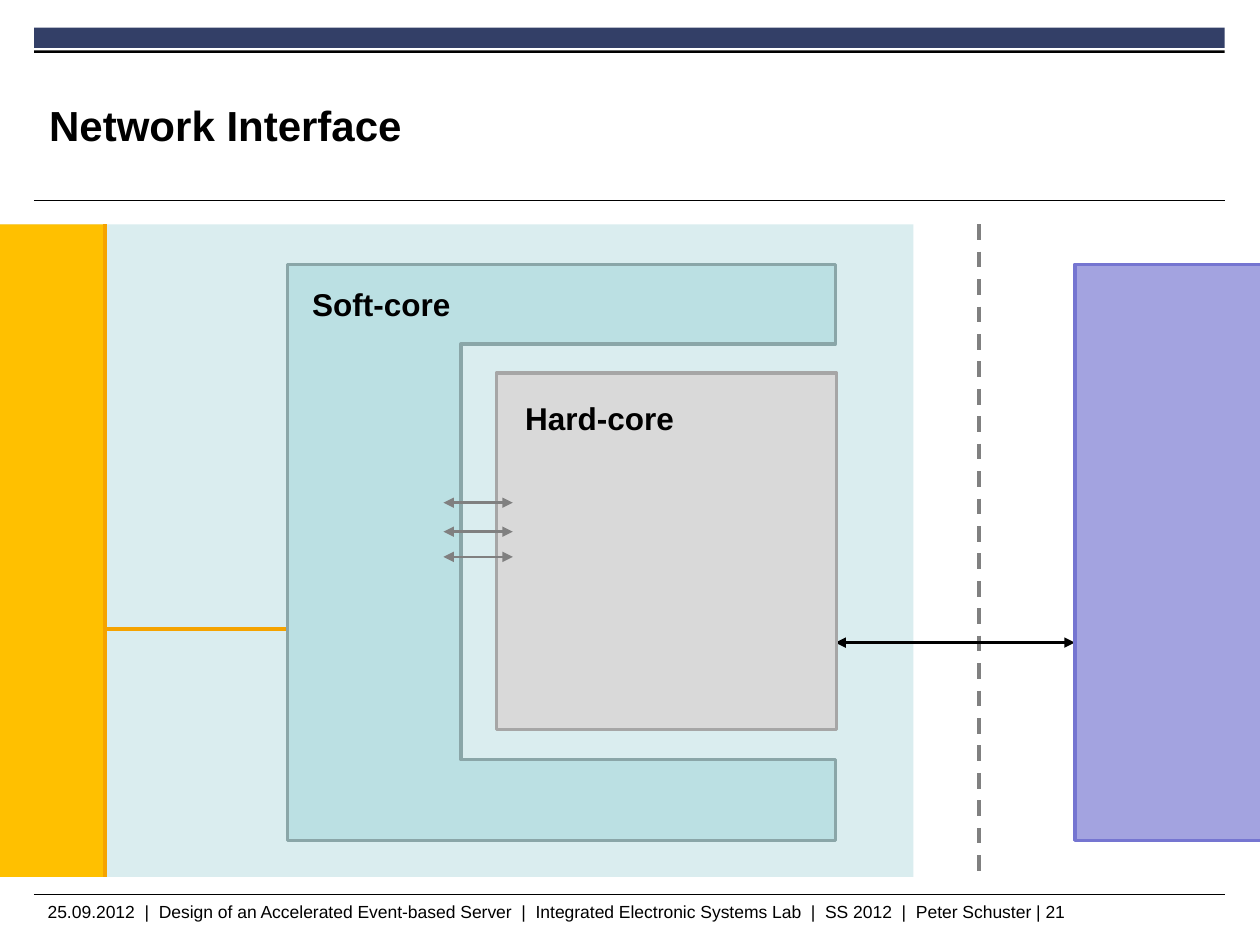
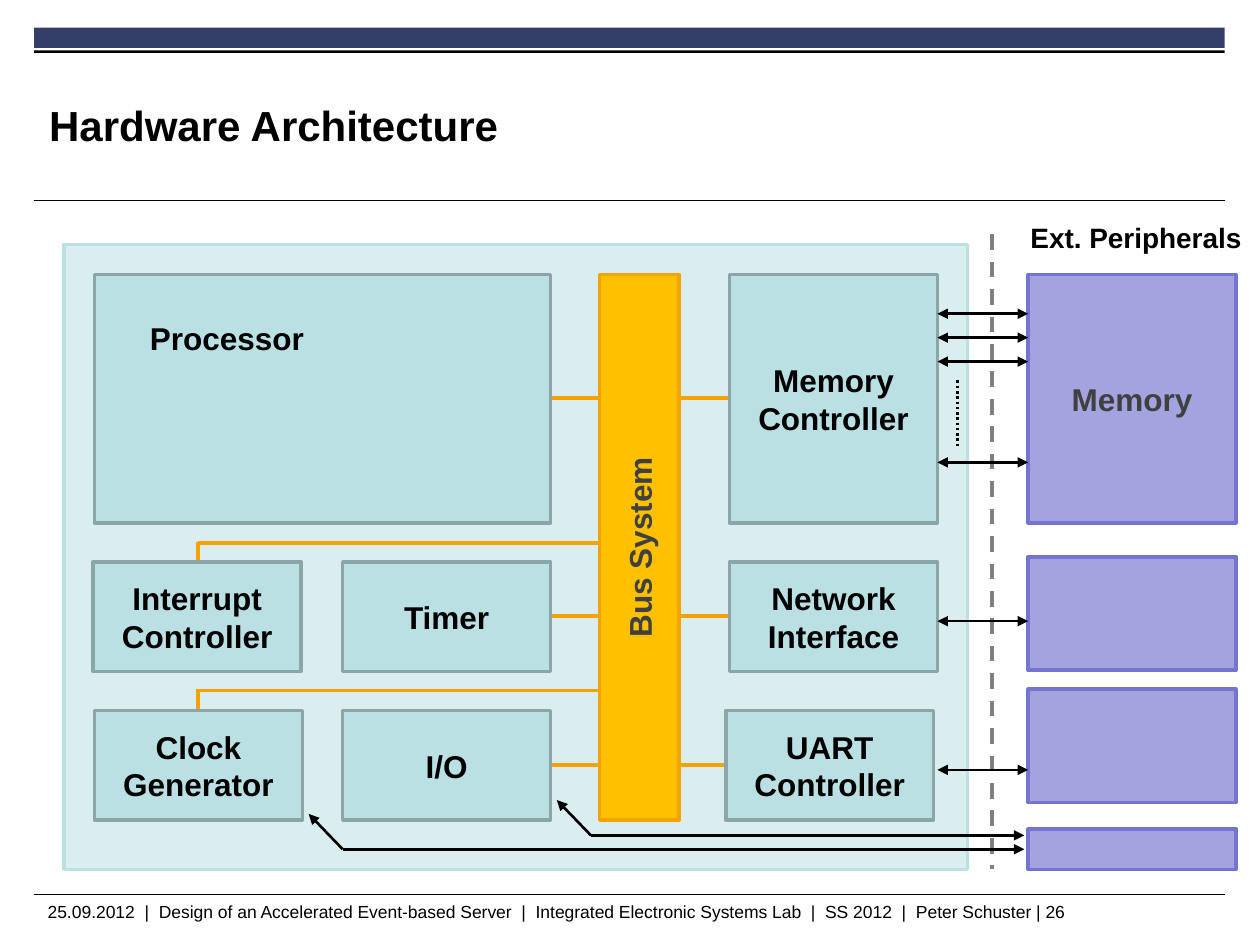
from lxml import etree
from pptx import Presentation
from pptx.dml.color import RGBColor
from pptx.enum import dml, shapes, text
from pptx.oxml import ns
from pptx.util import Inches, Pt

FONT = "Arial"
BLACK, GREY, DARK = "000000", "808080", "404040"
NAVY, CHIP, ORANGE, AMBER = "333F67", "DAEDEF", "F5A300", "FFC000"
TEAL, TEAL_EDGE = "BBE0E3", "8AA6A8"
VIOLET, VIOLET_EDGE = "A3A3E0", "7575D1"
SILVER, SILVER_EDGE = "D9D9D9", "A6A6A6"
FOOTER = ("25.09.2012  |  Design of an Accelerated Event-based Server  |  "
          "Integrated Electronic Systems Lab  |  SS 2012  |  Peter Schuster | ")
CENTER, LEFT = text.PP_ALIGN.CENTER, text.PP_ALIGN.LEFT
MIDDLE, TOP = text.MSO_ANCHOR.MIDDLE, text.MSO_ANCHOR.TOP


def color(value):
    """Turn a hex string into a colour."""
    return RGBColor.from_string(value)


def write(frame, words, size, ink=BLACK, bold=True, align=LEFT, anchor=TOP):
    """Fill a text frame with uniformly formatted words."""
    frame.text = words
    frame.word_wrap = True
    frame.vertical_anchor = anchor
    for para in frame.paragraphs:
        para.alignment = align
        for span in para.runs:
            span.font.name = FONT
            span.font.size = Pt(size)
            span.font.bold = bold
            span.font.color.rgb = color(ink)


def paint(shape, fill, edge=None):
    """Give a shape a flat fill and an optional two-point outline."""
    shape.shadow.inherit = False
    shape.fill.solid()
    shape.fill.fore_color.rgb = color(fill)
    if edge:
        shape.line.color.rgb = color(edge)
        shape.line.width = Pt(2)
    else:
        shape.line.fill.background()


def add_box(page, place, fill, edge=None, words="", ink=BLACK):
    """Add a rectangle with an optional centred label."""
    box = page.shapes.add_shape(shapes.MSO_SHAPE.RECTANGLE, *map(Inches, place))
    paint(box, fill, edge)
    if words:
        write(box.text_frame, words, 18, ink, align=CENTER, anchor=MIDDLE)
    return box


def add_label(page, place, words, size, bold=True):
    """Add a left-aligned text box."""
    label = page.shapes.add_textbox(*map(Inches, place))
    write(label.text_frame, words, size, bold=bold)


def add_line(page, start, end, ink=BLACK, width=1.5, dash=None, heads=()):
    """Add a straight line with optional dash and arrowheads."""
    line = page.shapes.add_connector(
        shapes.MSO_CONNECTOR.STRAIGHT, *map(Inches, start + end))
    line.line.color.rgb = color(ink)
    line.line.width = Pt(width)
    if dash:
        line.line.dash_style = dash
    for head in heads:
        etree.SubElement(line.line._get_or_add_ln(), ns.qn("a:" + head), type="triangle")
    etree.SubElement(line._element.spPr, ns.qn("a:effectLst"))


def add_arrow(page, left, right, y, ink=BLACK):
    """Add a horizontal double-headed arrow."""
    add_line(page, (left, y), (right, y), ink, heads=("headEnd", "tailEnd"))


def add_bus_line(page, start, end):
    """Add an orange bus wire."""
    add_line(page, start, end, ORANGE, 2.25)


def add_boundary(page, x, top, bottom):
    """Add the dashed chip boundary."""
    add_line(page, (x, top), (x, bottom), GREY, 2.25, dml.MSO_LINE.DASH)


def add_page(deck, title, number):
    """Add a page with title, bands, rules and footer."""
    page = deck.slides.add_slide(deck.slide_layouts[5])
    add_box(page, (0.27, 0.22, 9.45, 0.16), NAVY)
    add_box(page, (0.27, 0.4, 9.45, 0.02), BLACK)
    for y in (1.59, 7.1):
        add_line(page, (0.27, y), (9.72, y), width=0.6)
    add_label(page, (0.28, 7.1, 8.74, 0.25), FOOTER + str(number), 10, bold=False)
    holder = page.shapes.title
    holder.left, holder.top = Inches(0.39), Inches(0.53)
    holder.width, holder.height = Inches(7.52), Inches(0.92)
    frame = holder.text_frame
    frame.margin_left = frame.margin_right = frame.margin_top = frame.margin_bottom = 0
    write(frame, title, 24, anchor=MIDDLE)
    return page


def add_soft_core(page):
    """Add the C-shaped soft-core outline."""
    left, inner, right = 2.28, 3.66, 6.63
    top, upper, lower, bottom = 2.1, 2.73, 6.03, 6.67
    corners = [(right, top), (right, upper), (inner, upper), (inner, lower),
               (right, lower), (right, bottom), (left, bottom)]
    builder = page.shapes.build_freeform(Inches(left), Inches(top))
    builder.add_line_segments([(Inches(x), Inches(y)) for x, y in corners])
    paint(builder.convert_to_shape(), TEAL, TEAL_EDGE)
    add_label(page, (2.38, 2.21, 1.36, 0.4), "Soft-core", 18)


def build_network_interface(deck):
    """Build the network interface page."""
    page = add_page(deck, "Network Interface", 21)
    top, bottom, bus_edge = 1.78, 6.96, 0.83
    add_box(page, (0, top, 7.25, bottom - top), CHIP)
    add_boundary(page, 7.77, top, bottom)
    add_arrow(page, 6.63, 8.53, 5.1)
    add_box(page, (8.53, 2.1, 1.59, 4.57), VIOLET, VIOLET_EDGE)
    add_bus_line(page, (bus_edge, 4.99), (2.28, 4.99))
    add_box(page, (0, top, bus_edge, bottom - top), AMBER)
    add_bus_line(page, (bus_edge, top), (bus_edge, bottom))
    add_soft_core(page)
    add_box(page, (3.94, 2.96, 2.7, 2.83), SILVER, SILVER_EDGE)
    add_label(page, (4.07, 3.12, 2.56, 0.4), "Hard-core", 18)
    for y in (3.99, 4.22, 4.42):
        add_arrow(page, 3.52, 4.07, y, GREY)


def add_processor(page):
    """Add the processor block with its label at the upper left."""
    box = add_box(page, (0.75, 2.18, 3.62, 1.97), TEAL, TEAL_EDGE)
    write(box.text_frame, "Processor", 18)
    box.text_frame.margin_left = Inches(0.44)
    box.text_frame.margin_top = Inches(0.35)


def build_hardware_architecture(deck):
    """Build the hardware architecture page."""
    page = add_page(deck, "Hardware Architecture", 26)
    width, tall, low = 1.65, 1.97, 0.87
    row_tops = top, middle, bottom = 2.18, 4.46, 5.64
    add_box(page, (0.51, 1.94, 7.17, 4.96), CHIP, TEAL)

    for y, block_top in ((4.31, middle), (5.48, bottom)):
        add_bus_line(page, (1.57, y - 0.01), (1.57, block_top))
        add_bus_line(page, (1.57, y), (5.39, y))
    for y in (3.16, 4.89, 6.07):
        add_bus_line(page, (4.37, y), (5.79, y))

    blocks = [(5.79, top, tall, "Memory Controller"),
              (5.79, middle, low, "Network Interface"),
              (5.76, bottom, low, "UART Controller"),
              (0.74, middle, low, "Interrupt\nController"),
              (0.75, bottom, low, "Clock\nGenerator"),
              (2.72, middle, low, "Timer"),
              (2.72, bottom, low, "I/O")]
    for x, y, height, words in blocks:
        add_box(page, (x, y, width, height), TEAL, TEAL_EDGE, words)
    add_processor(page)
    bus = add_box(page, (4.76, top, 0.63, 4.33), AMBER, ORANGE, "Bus System", DARK)
    bus.text_frame._txBody.bodyPr.set("vert", "vert270")

    add_boundary(page, 7.87, 1.86, 6.9)
    peripherals = [(top, tall, "Memory"), (4.42, 0.9, ""), (5.47, 0.9, ""), (6.58, 0.32, "")]
    for y, height, words in peripherals:
        add_box(page, (8.16, y, width, height), VIOLET, VIOLET_EDGE, words, DARK)
    add_label(page, (8.08, 1.7, 1.92, 0.37), "Ext. Peripherals", 16)

    for y in (2.49, 2.68, 2.87, 3.67, 4.93, 6.11):
        add_arrow(page, 7.44, 8.16, y)
    add_line(page, (7.6, 3.02), (7.6, 3.55), dash=dml.MSO_LINE.ROUND_DOT)
    for x, y in ((2.45, 6.46), (4.42, 6.35)):
        bend = (x + 0.27, y + 0.28)
        add_line(page, (x, y), bend, heads=("headEnd",))
        add_line(page, bend, (8.13, bend[1]), heads=("tailEnd",))


def main():
    """Build and save the deck."""
    deck = Presentation()
    deck.slide_width, deck.slide_height = Inches(10), Inches(7.5)
    build_network_interface(deck)
    build_hardware_architecture(deck)
    deck.save("out.pptx")


if __name__ == "__main__":
    main()
